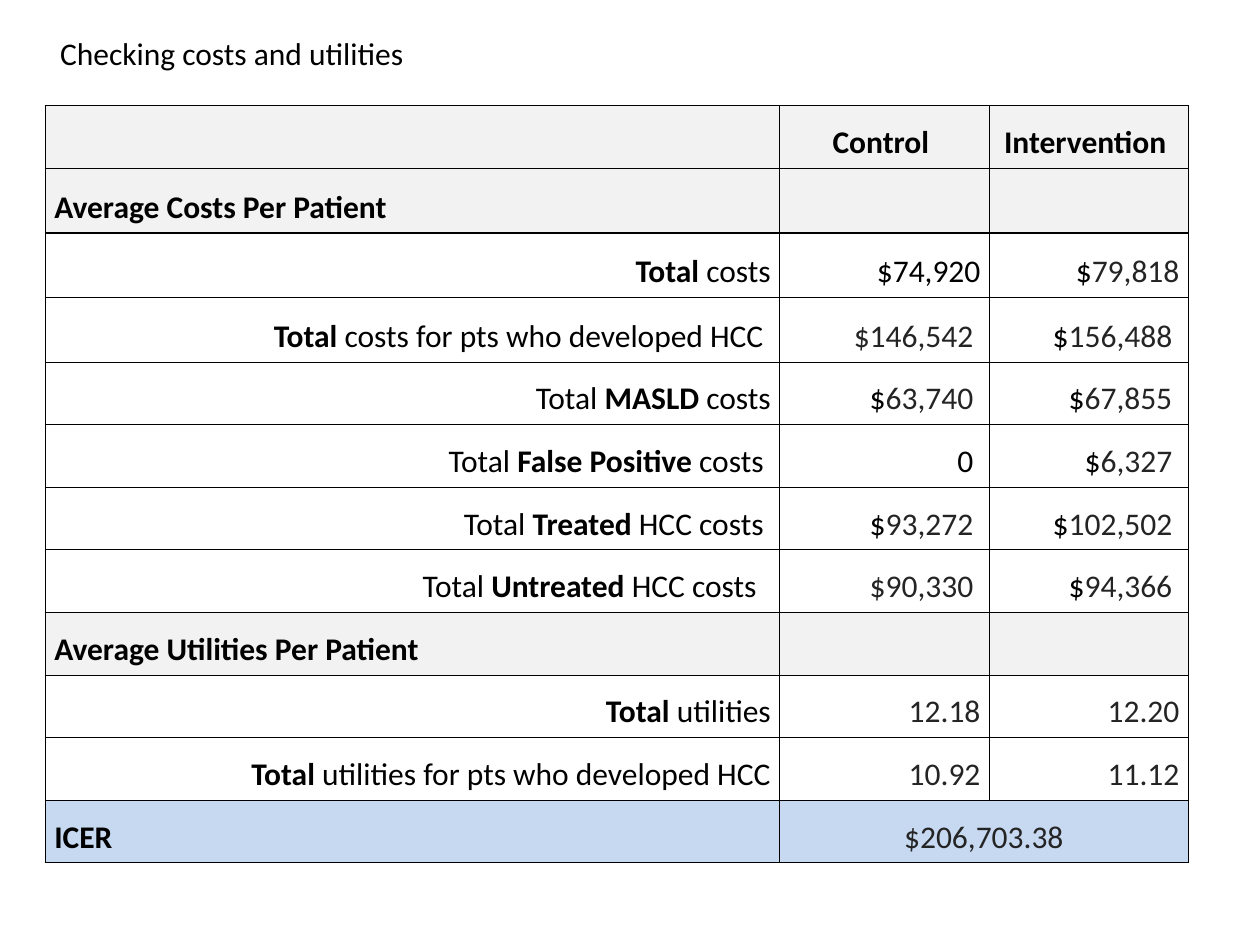
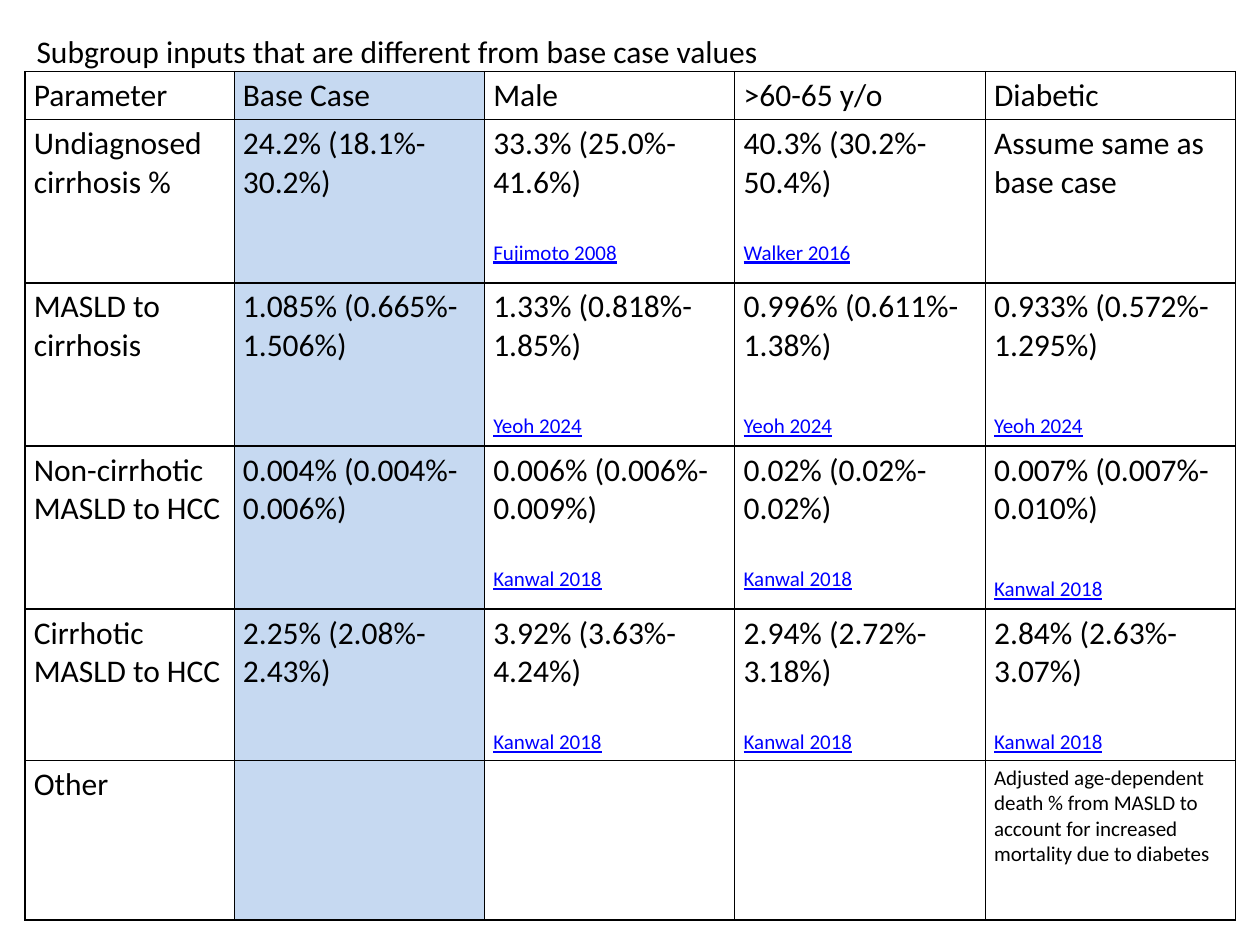
from dataclasses import dataclass

import lxml.etree
import pptx
import pptx.dml.color
import pptx.enum.text
import pptx.oxml.ns
import pptx.util

Pt = pptx.util.Pt
RGB = pptx.dml.color.RGBColor
ALIGN = pptx.enum.text.PP_ALIGN
ANCHOR = pptx.enum.text.MSO_ANCHOR

BLACK = RGB(0x00, 0x00, 0x00)
CHARCOAL = RGB(0x24, 0x24, 0x24)
WHITE = RGB(0xFF, 0xFF, 0xFF)
GREY = RGB(0xF2, 0xF2, 0xF2)
BLUE = RGB(0xC6, 0xD9, 0xF1)
LINK = RGB(0x00, 0x00, 0xFF)

FONT = "Calibri"
BODY_SIZE, NOTE_SIZE = 18, 12
BORDER = Pt(0.75)
SIDE_INSET = 5.04
SPACE_WIDTH = 4.07  # one 18 pt space


@dataclass(frozen=True)
class Box:
    left: float
    top: float
    width: float
    height: float


@dataclass(frozen=True)
class CostRow:
    """Text between bars is bold in labels and charcoal in values."""
    label: str
    control: str = ""
    intervention: str = ""
    fill: RGB = WHITE
    label_align: ALIGN = ALIGN.RIGHT
    value_align: ALIGN = ALIGN.RIGHT
    label_gap: int = 0
    value_gap: int = 0


@dataclass(frozen=True)
class Entry:
    """One subgroup value with its citation."""
    value: str
    cite: str = ""
    cite_gap: float = 22


COST_ROWS = [
    CostRow("", "|Control|", "|Intervention|", GREY, value_align=ALIGN.CENTER, value_gap=1),
    CostRow("|Average Costs Per Patient|", fill=GREY, label_align=ALIGN.LEFT),
    CostRow("|Total| costs", "$74,920", "$|79,818|"),
    CostRow("|Total| costs for pts who developed HCC", "|$146,542|", "$|156,488|",
            label_gap=1, value_gap=1),
    CostRow("Total |MASLD| costs", "$|63,740|", "$|67,855|", value_gap=1),
    CostRow("Total |False Positive| costs", "0", "$|6,327|", label_gap=1, value_gap=1),
    CostRow("Total |Treated| HCC costs", "$|93,272|", "$|102,502|", label_gap=1, value_gap=1),
    CostRow("Total| Untreated| HCC costs", "|$90,330|", "$|94,366|", label_gap=2, value_gap=1),
    CostRow("|Average Utilities Per Patient|", fill=GREY, label_align=ALIGN.LEFT),
    CostRow("|Total| utilities", "|12.18|", "|12.20|"),
    CostRow("|Total |utilities for pts who developed HCC", "|10.92|", "|11.12|"),
    CostRow("|ICER|", "|$206,703.38|", fill=BLUE, label_align=ALIGN.LEFT,
            value_align=ALIGN.CENTER),
]

LOW_GAP = 27.7
SUBGROUP_HEADS = ["Parameter", "Base Case", "Male", ">60-65 y/o", "Diabetic"]
SUBGROUP_ROWS = [
    ("Undiagnosed cirrhosis %", "24.2% (18.1%-30.2%)",
     Entry("33.3% (25.0%-41.6%)", "Fujimoto 2008"),
     Entry("40.3% (30.2%-50.4%)", "Walker 2016"),
     Entry("Assume same as base case")),
    ("MASLD to cirrhosis", "1.085% (0.665%-1.506%)",
     Entry("1.33% (0.818%- 1.85%)", "Yeoh 2024", LOW_GAP),
     Entry("0.996% (0.611%-1.38%)", "Yeoh 2024", LOW_GAP),
     Entry("0.933% (0.572%-1.295%)", "Yeoh 2024", LOW_GAP)),
    ("Non-cirrhotic MASLD to HCC", "0.004% (0.004%-0.006%)",
     Entry("0.006% (0.006%-0.009%)", "Kanwal 2018"),
     Entry("0.02% (0.02%-0.02%)", "Kanwal 2018"),
     Entry("0.007% (0.007%-0.010%)", "Kanwal 2018", LOW_GAP)),
    ("Cirrhotic MASLD to HCC", "2.25% (2.08%-2.43%)",
     Entry("3.92% (3.63%-4.24%)", "Kanwal 2018"),
     Entry("2.94% (2.72%-3.18%)", "Kanwal 2018"),
     Entry("2.84% (2.63%-3.07%)", "Kanwal 2018")),
]
DIABETIC_NOTE = ("Adjusted age-dependent death % from MASLD to account for "
                 "increased mortality due to diabetes")


def write(p, text: str, *, size: float = BODY_SIZE, color: RGB = BLACK,
          accent: RGB = BLACK, accent_bold: bool = False, underline: bool = False,
          align: ALIGN = ALIGN.LEFT, before: float = 0, line: float | None = None) -> None:
    """Fill a paragraph; every second part between bars takes the accent."""
    p.alignment = align
    p.space_before = Pt(before)
    if line:
        p.line_spacing = Pt(line)
    for i, part in enumerate(text.split("|")):
        if not part:
            continue
        accented = i % 2 == 1
        r = p.add_run()
        r.text = part
        r.font.name = FONT
        r.font.size = Pt(size)
        r.font.bold = accented and accent_bold
        r.font.underline = underline
        r.font.color.rgb = accent if accented else color


def add_title(s, text: str, box: Box, align: ALIGN) -> None:
    title = s.shapes.title
    title.left, title.top = Pt(box.left), Pt(box.top)
    title.width, title.height = Pt(box.width), Pt(box.height)
    tf = title.text_frame
    tf.word_wrap = True
    tf.auto_size = pptx.enum.text.MSO_AUTO_SIZE.NONE
    tf.vertical_anchor = ANCHOR.MIDDLE
    write(tf.paragraphs[0], text, align=align)


def add_grid(s, left: float, top: float, widths: list[float], heights: list[float]):
    """Add a plain table whose columns and rows have the given sizes."""
    table = s.shapes.add_table(len(heights), len(widths), Pt(left), Pt(top),
                               Pt(sum(widths)), Pt(sum(heights))).table
    table.first_row = table.horz_banding = False
    for column, width in zip(table.columns, widths):
        column.width = Pt(width)
    for row, height in zip(table.rows, heights):
        row.height = Pt(height)
    return table


def format_cell(cell, fill: RGB, anchor: ANCHOR, inset: float, gap: int = 0) -> None:
    tcPr = cell._tc.get_or_add_tcPr()
    qn = pptx.oxml.ns.qn
    for side in ("a:lnL", "a:lnR", "a:lnT", "a:lnB"):
        ln = lxml.etree.SubElement(tcPr, qn(side), w=str(BORDER))
        solid = lxml.etree.SubElement(ln, qn("a:solidFill"))
        lxml.etree.SubElement(solid, qn("a:srgbClr"), val=str(BLACK))
    cell.fill.solid()
    cell.fill.fore_color.rgb = fill
    cell.vertical_anchor = anchor
    cell.margin_left = Pt(SIDE_INSET)
    cell.margin_right = Pt(SIDE_INSET + gap * SPACE_WIDTH)
    cell.margin_top = cell.margin_bottom = Pt(inset)


def add_costs_slide(prs) -> None:
    s = prs.slides.add_slide(prs.slide_layouts[5])
    add_title(s, "Checking costs and utilities", Box(26, 16.6, 213, 27.4), ALIGN.CENTER)
    heights = [36.9 if 1 <= i <= 3 else 35.8 for i in range(len(COST_ROWS))]
    table = add_grid(s, 26, 60.5, [419.5, 119.8, 113.7], heights)
    for i, row in enumerate(COST_ROWS):
        for j, text in enumerate((row.label, row.control, row.intervention)):
            is_label = j == 0
            cell = table.cell(i, j)
            format_cell(cell, row.fill, ANCHOR.BOTTOM, 3.6,
                        row.label_gap if is_label else row.value_gap)
            is_bold = is_label or i == 0
            write(cell.text_frame.paragraphs[0], text, line=13.5,
                  accent=BLACK if is_bold else CHARCOAL, accent_bold=is_bold,
                  align=row.label_align if is_label else row.value_align)
    last = len(COST_ROWS) - 1
    table.cell(last, 1).merge(table.cell(last, 2))


def add_subgroups_slide(prs) -> None:
    s = prs.slides.add_slide(prs.slide_layouts[5])
    add_title(s, "Subgroup inputs that are different from base case values",
              Box(13.7, 0, 563, 58.3), ALIGN.LEFT)
    table = add_grid(s, 14.3, 40.8, [119.5] + [143.1] * 4,
                     [27.4] + [93.2] * 3 + [85.7, 91.4])
    rows = [SUBGROUP_HEADS, *SUBGROUP_ROWS, ("Other", "", "", "", DIABETIC_NOTE)]
    for i, row in enumerate(rows):
        for j, item in enumerate(row):
            entry = item if isinstance(item, Entry) else Entry(item)
            cell = table.cell(i, j)
            format_cell(cell, BLUE if j == 1 else WHITE, ANCHOR.TOP, 2.88)
            tf = cell.text_frame
            write(tf.paragraphs[0], entry.value,
                  size=NOTE_SIZE if item == DIABETIC_NOTE else BODY_SIZE)
            if entry.cite:
                write(tf.add_paragraph(), entry.cite, size=NOTE_SIZE, color=LINK,
                      underline=True, before=entry.cite_gap)


def main() -> None:
    prs = pptx.Presentation()
    prs.slide_width, prs.slide_height = Pt(720), Pt(540)
    add_costs_slide(prs)
    add_subgroups_slide(prs)
    prs.save("out.pptx")


if __name__ == "__main__":
    main()
